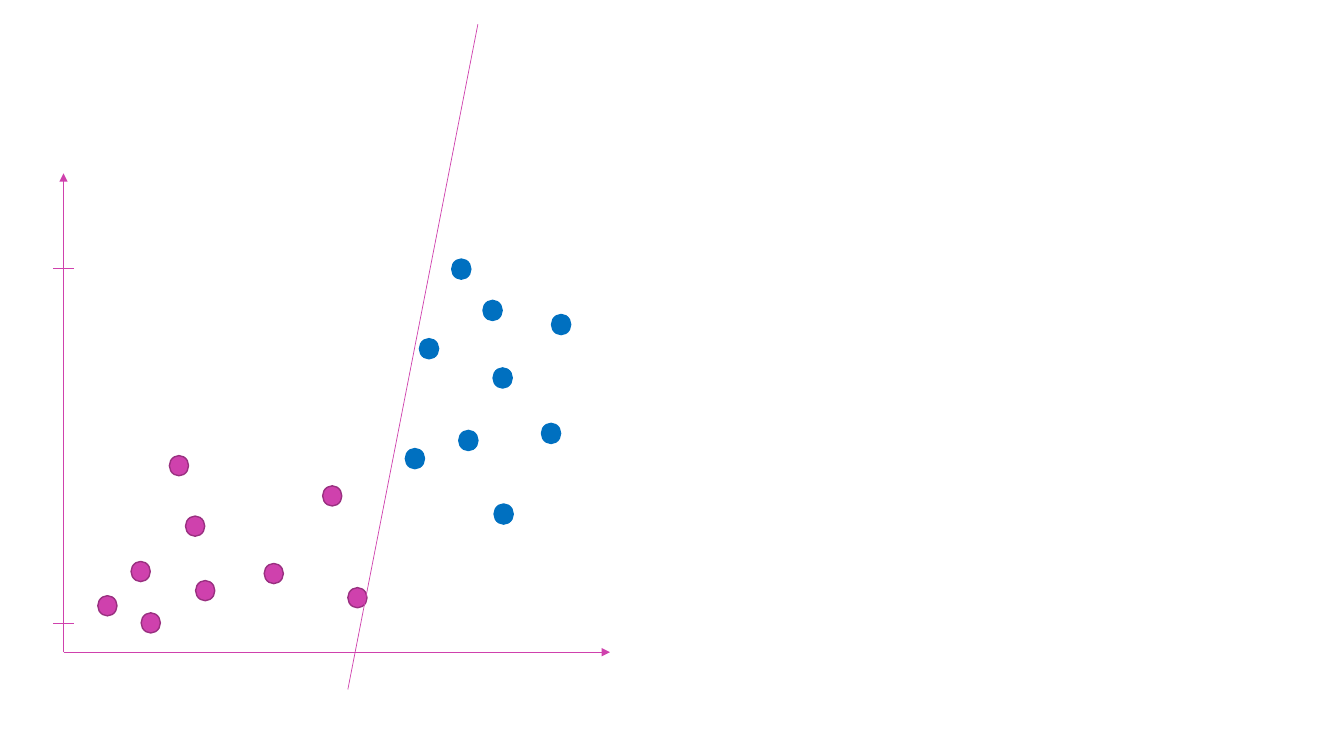
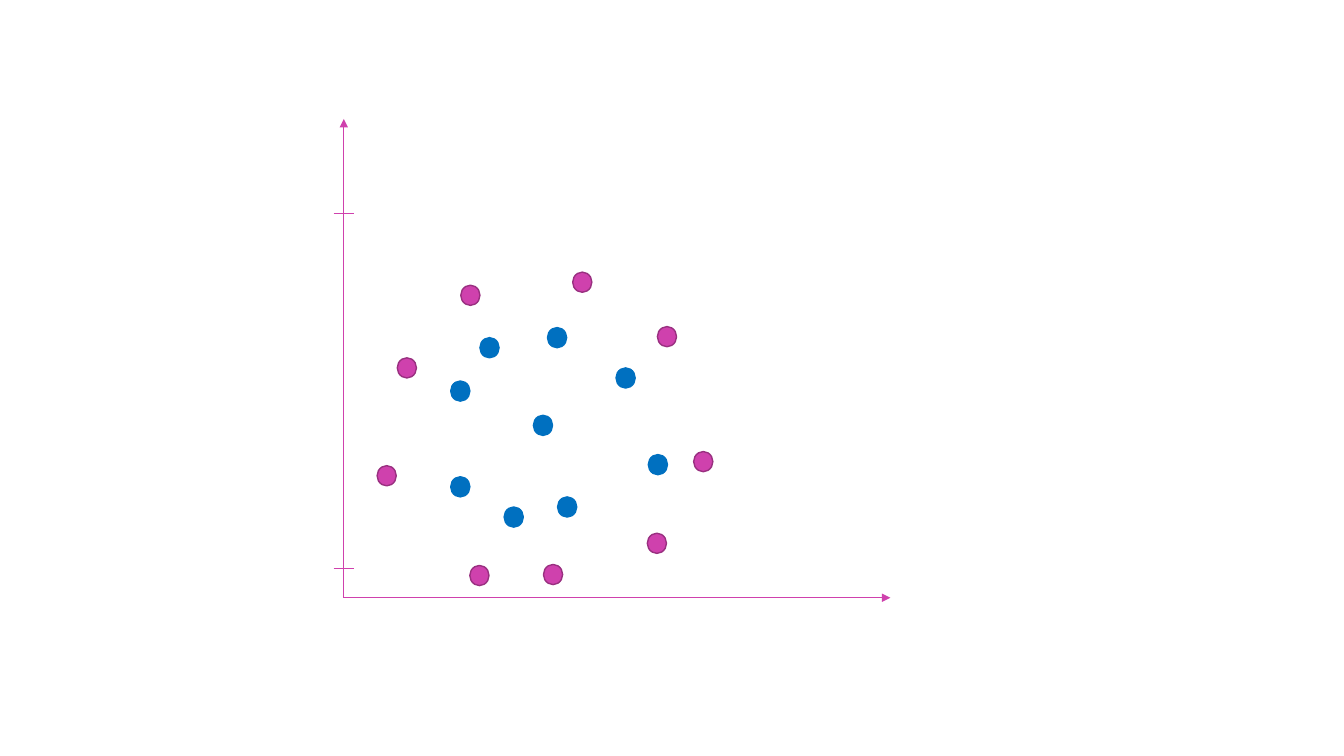
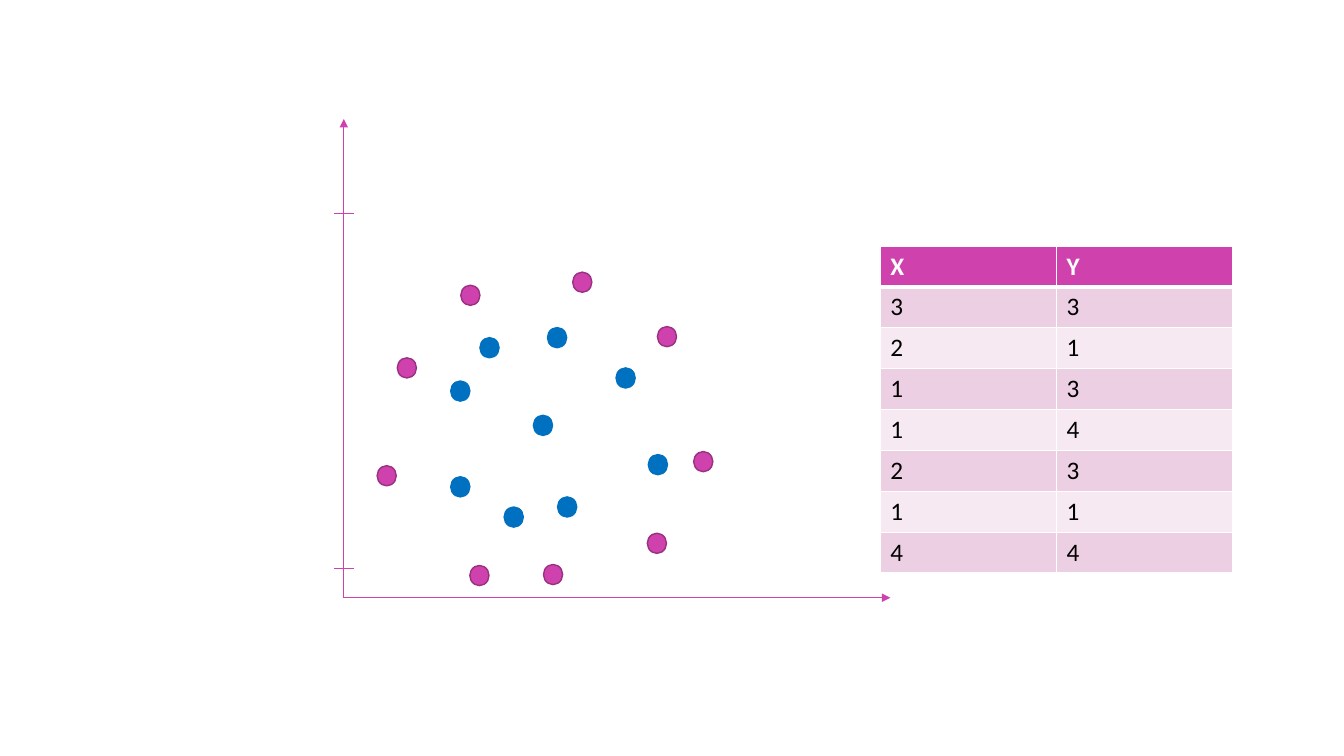
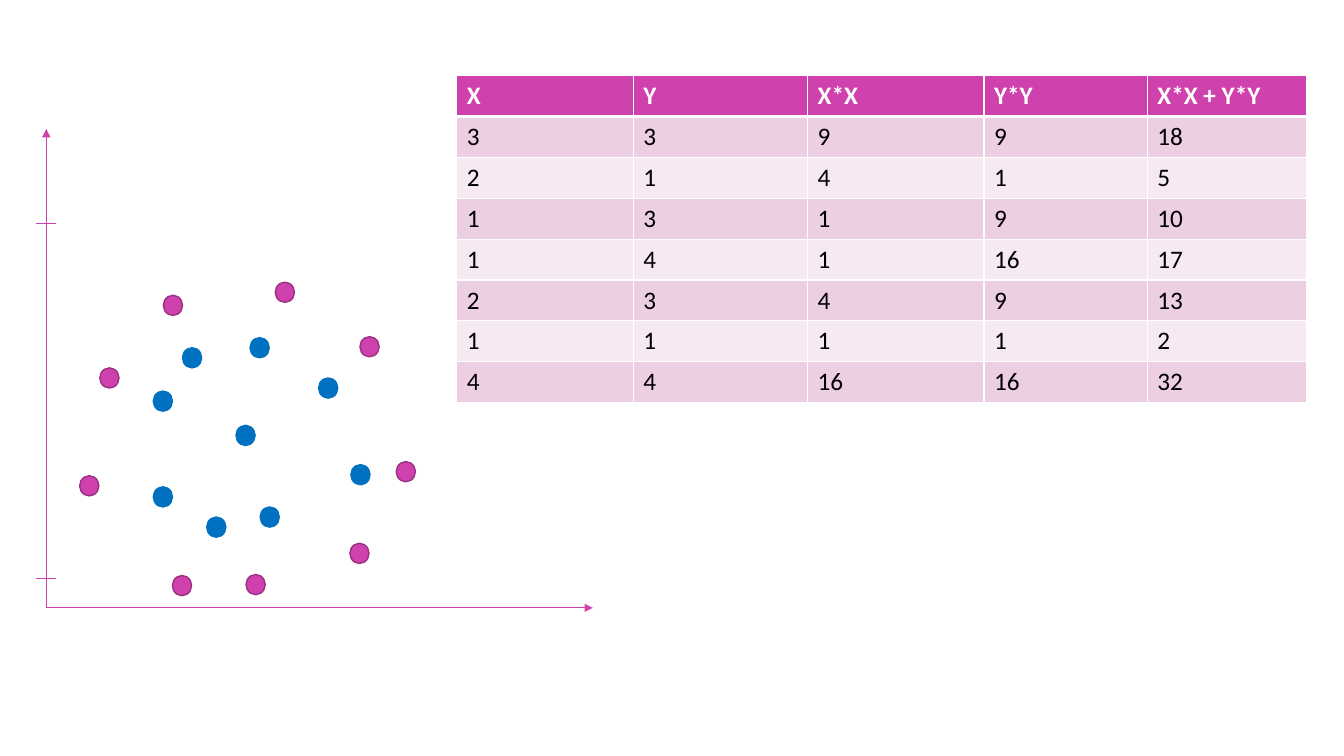
import pptx
import pptx.util
import pptx.dml.color
import pptx.enum.shapes
import pptx.oxml.ns
from lxml import etree

Inches = pptx.util.Inches
Pt = pptx.util.Pt
RGBColor = pptx.dml.color.RGBColor
qn = pptx.oxml.ns.qn

PINK = RGBColor(0xCF, 0x41, 0xAD)
DARK_PINK = RGBColor(0x99, 0x30, 0x80)
BLUE = RGBColor(0x00, 0x70, 0xC0)
DARK_BAND = RGBColor(0xED, 0xCF, 0xE3)
LIGHT_BAND = RGBColor(0xF6, 0xE9, 0xF1)
WHITE = RGBColor(0xFF, 0xFF, 0xFF)
BLACK = RGBColor(0x00, 0x00, 0x00)

FONT = "Calibri"
AXIS_WIDTH, AXIS_HEIGHT = 5.42, 4.75
TICK_HEIGHTS = (3.81, 0.29)
TICK_HALF = 0.1
DOT_WIDTH, DOT_HEIGHT = 0.19, 0.2
COLUMN_WIDTH, ROW_HEIGHT = 1.75, 0.4

LEFT_CLUSTER = [
    (0.34, 0.56), (0.77, 0.39), (1.05, 1.95), (0.67, 0.9), (1.31, 0.71),
    (1.21, 1.35), (1.99, 0.88), (2.82, 0.64), (2.57, 1.65),
]
RIGHT_CLUSTER = [
    (3.85, 3.9), (4.84, 3.35), (4.26, 2.82), (3.53, 3.11), (3.92, 2.2),
    (4.74, 2.27), (4.16, 3.49), (4.27, 1.47), (3.39, 2.02),
]
OUTER_RING = [
    (0.33, 1.31), (1.25, 0.32), (0.53, 2.38), (1.16, 3.1), (1.98, 0.33),
    (2.27, 3.23), (3.47, 1.45), (3.01, 0.64), (3.11, 2.69),
]
INNER_CLUSTER = [
    (1.06, 2.15), (1.88, 1.81), (2.02, 2.68), (1.35, 2.58), (3.02, 1.42),
    (2.7, 2.28), (1.59, 0.9), (2.12, 1.0), (1.06, 1.2),
]
SAMPLES = [(3, 3), (2, 1), (1, 3), (1, 4), (2, 3), (1, 1), (4, 4)]


def add_line(slide, start, end, arrow=False):
    line = slide.shapes.add_connector(
        pptx.enum.shapes.MSO_CONNECTOR.STRAIGHT,
        *(Inches(value) for value in (*start, *end)))
    line.line.color.rgb = PINK
    line.line.width = Pt(0.5)
    if arrow:
        etree.SubElement(line.get_or_add_ln(), qn("a:tailEnd"), type="triangle")
    etree.SubElement(line.element.spPr, qn("a:effectLst"))


def add_axes(slide, origin):
    x, y = origin
    add_line(slide, origin, (x + AXIS_WIDTH, y), arrow=True)
    add_line(slide, origin, (x, y - AXIS_HEIGHT), arrow=True)
    for height in TICK_HEIGHTS:
        add_line(slide, (x - TICK_HALF, y - height), (x + TICK_HALF, y - height))


def add_dots(slide, origin, offsets, fill, outline):
    x, y = origin
    for right, up in offsets:
        dot = slide.shapes.add_shape(
            pptx.enum.shapes.MSO_SHAPE.OVAL, Inches(x + right), Inches(y - up),
            Inches(DOT_WIDTH), Inches(DOT_HEIGHT))
        dot.shadow.inherit = False
        dot.fill.solid()
        dot.fill.fore_color.rgb = fill
        dot.line.color.rgb = outline
        dot.line.width = Pt(1)


def add_scatter(slide, origin, pink_dots, blue_dots):
    add_axes(slide, origin)
    add_dots(slide, origin, pink_dots, PINK, DARK_PINK)
    add_dots(slide, origin, blue_dots, BLUE, BLUE)


def set_borders(cell, top, bottom):
    properties = cell._tc.get_or_add_tcPr()
    for side, width in (("L", 1), ("R", 1), ("T", top), ("B", bottom)):
        border = etree.SubElement(properties, qn(f"a:ln{side}"), w=str(Pt(width)))
        fill = etree.SubElement(border, qn("a:solidFill"))
        etree.SubElement(fill, qn("a:srgbClr"), val=str(WHITE))


def style_cell(cell, row):
    header = row == 0
    set_borders(cell, 3 if row == 1 else 1, 3 if header else 1)
    cell.fill.solid()
    cell.fill.fore_color.rgb = PINK if header else (LIGHT_BAND, DARK_BAND)[row % 2]
    font = cell.text_frame.paragraphs[0].runs[0].font
    font.name = FONT
    font.size = Pt(18)
    font.bold = header
    font.color.rgb = WHITE if header else BLACK


def add_value_table(slide, left, top, headings, records, column_width=COLUMN_WIDTH):
    rows = [headings, *records]
    table = slide.shapes.add_table(
        len(rows), len(headings), Inches(left), Inches(top),
        Inches(column_width * len(headings)), Inches(ROW_HEIGHT * len(rows))).table
    for column in table.columns:
        column.width = Inches(column_width)
    for row, values in enumerate(rows):
        table.rows[row].height = Inches(ROW_HEIGHT)
        for column, value in enumerate(values):
            cell = table.cell(row, column)
            cell.text_frame.text = str(value)
            style_cell(cell, row)


def main():
    deck = pptx.Presentation()
    deck.slide_width, deck.slide_height = Inches(13.33), Inches(7.5)
    separable, ring, ring_values, ring_squares = (
        deck.slides.add_slide(deck.slide_layouts[6]) for _ in range(4))

    add_scatter(separable, (0.63, 6.47), LEFT_CLUSTER, RIGHT_CLUSTER)
    add_line(separable, (4.74, 0.24), (3.45, 6.84))

    for slide, origin in ((ring, (3.41, 5.93)), (ring_values, (3.41, 5.93)),
                          (ring_squares, (0.46, 6.03))):
        add_scatter(slide, origin, OUTER_RING, INNER_CLUSTER)

    add_value_table(ring_values, 8.73, 2.44, ("X", "Y"), SAMPLES)

    squares = [(x * x, y * y) for x, y in SAMPLES]
    sums = [(sum(pair),) for pair in squares]
    add_value_table(ring_squares, 4.53, 0.75, ("X", "Y"), SAMPLES)
    add_value_table(ring_squares, 8.01, 0.75, ("X*X", "Y*Y"), squares)
    add_value_table(ring_squares, 11.38, 0.75, ("X*X + Y*Y",), sums, 1.58)

    deck.save("out.pptx")


if __name__ == "__main__":
    main()
